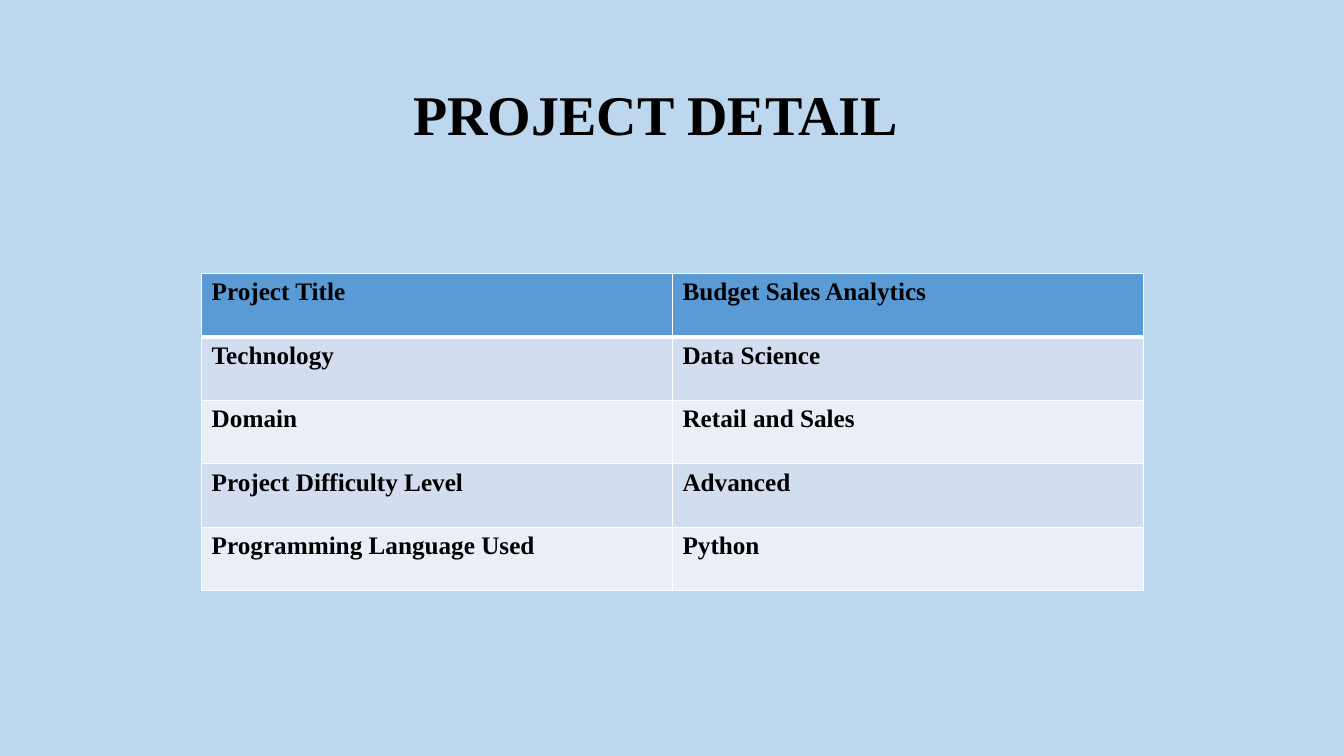
import pptx
import pptx.util
import pptx.dml.color
import pptx.enum.shapes
import pptx.enum.text
import pptx.oxml
import pptx.oxml.ns

TITLE = "PROJECT DETAIL"
DETAILS = [
    ("Project Title", "Budget Sales Analytics"),
    ("Technology", "Data Science"),
    ("Domain", "Retail and Sales"),
    ("Project Difficulty Level", "Advanced"),
    ("Programming Language Used", "Python"),
]

THEME = {
    "font": "Times New Roman",
    "title_size": 40,
    "cell_size": 18,
    "text": "000000",
    "backdrop": "BDD7EE",
    "header": "5B9BD5",
    "bands": ("D2DEEF", "EAEFF7"),
    "border": "FFFFFF",
    "border_width": 1,
    "header_rule": 3,
}
SLIDE_SIZE = (13.33, 7.5)
TABLE_AT = (2, 2.71)
COLUMN_WIDTH = 4.67
ROW_HEIGHT = 0.63
TITLE_INSETS = {"margin_left": 4.1, "margin_top": 0.79}

Inches = pptx.util.Inches


def color(value):
    return pptx.dml.color.RGBColor.from_string(value)


def paint(fill, value):
    fill.solid()
    fill.fore_color.rgb = color(value)


def write(frame, text, size):
    para = frame.paragraphs[0]
    para.alignment = pptx.enum.text.PP_ALIGN.LEFT
    span = para.add_run()
    span.text = text
    span.font.color.rgb = color(THEME["text"])
    formats = {"name": THEME["font"], "size": pptx.util.Pt(size), "bold": True}
    for name, value in formats.items():
        setattr(span.font, name, value)


def add_borders(cell, widths):
    properties = cell._tc.get_or_add_tcPr()
    for index, (side, width) in enumerate(widths.items()):
        line = pptx.oxml.parse_xml(
            f'<a:ln{side} {pptx.oxml.ns.nsdecls("a")} w="{pptx.util.Pt(width)}">'
            f'<a:solidFill><a:srgbClr val="{THEME["border"]}"/></a:solidFill>'
            f'</a:ln{side}>'
        )
        properties.insert(index, line)


def add_backdrop(page):
    width, height = map(Inches, SLIDE_SIZE)
    box = page.shapes.add_shape(
        pptx.enum.shapes.MSO_SHAPE.RECTANGLE, 0, 0, width, height
    )
    box.shadow.inherit = False
    box.line.fill.background()
    paint(box.fill, THEME["backdrop"])
    frame = box.text_frame
    frame.word_wrap = True
    frame.vertical_anchor = pptx.enum.text.MSO_ANCHOR.TOP
    for name, value in TITLE_INSETS.items():
        setattr(frame, name, Inches(value))
    write(frame, TITLE, THEME["title_size"])


def add_details(page):
    rows, columns = len(DETAILS), len(DETAILS[0])
    left, top = map(Inches, TABLE_AT)
    table = page.shapes.add_table(
        rows, columns, left, top,
        Inches(columns * COLUMN_WIDTH), Inches(rows * ROW_HEIGHT),
    ).table
    for column in table.columns:
        column.width = Inches(COLUMN_WIDTH)
    for row in table.rows:
        row.height = Inches(ROW_HEIGHT)
    for row, texts in enumerate(DETAILS):
        fill = THEME["bands"][(row - 1) % 2] if row else THEME["header"]
        widths = dict.fromkeys("LRTB", THEME["border_width"])
        if row == 0:
            widths["B"] = THEME["header_rule"]
        elif row == 1:
            widths["T"] = THEME["header_rule"]
        for column, text in enumerate(texts):
            cell = table.cell(row, column)
            paint(cell.fill, fill)
            add_borders(cell, widths)
            write(cell.text_frame, text, THEME["cell_size"])


def main():
    deck = pptx.Presentation()
    deck.slide_width, deck.slide_height = map(Inches, SLIDE_SIZE)
    page = deck.slides.add_slide(deck.slide_layouts[6])
    add_backdrop(page)
    add_details(page)
    deck.save("out.pptx")


if __name__ == "__main__":
    main()
